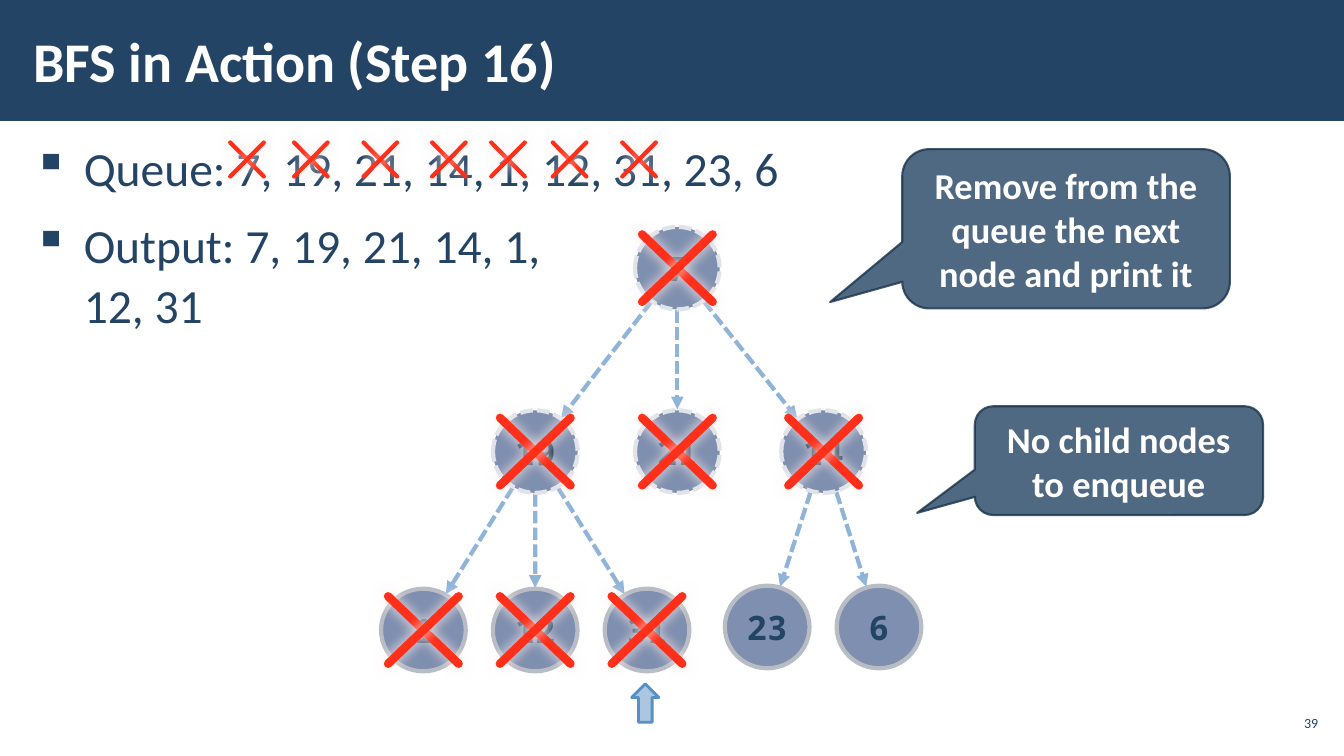
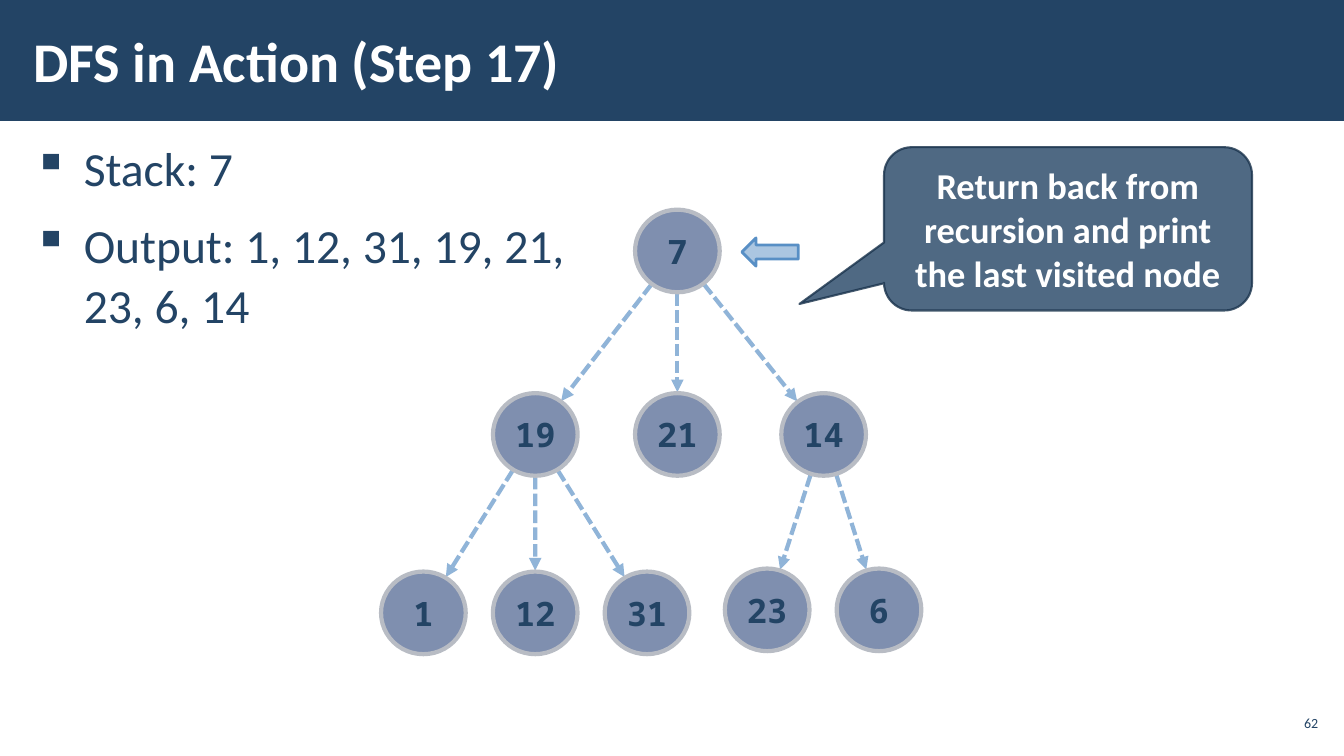
from math import hypot

from lxml.etree import SubElement
from pptx import Presentation
from pptx.dml.color import RGBColor
from pptx.enum.dml import MSO_LINE
from pptx.enum.shapes import MSO_CONNECTOR, MSO_SHAPE
from pptx.enum.text import MSO_ANCHOR, PP_ALIGN
from pptx.oxml.ns import qn
from pptx.util import Inches, Pt

SLIDE_W, SLIDE_H = Inches(13.33), Inches(7.5)

NAVY = RGBColor(0x23, 0x44, 0x65)
DEEP_NAVY = RGBColor(0x1A, 0x33, 0x4C)
NODE_BLUE = RGBColor(0x00, 0x20, 0x60)
NODE_RIM = RGBColor(0xB8, 0xBC, 0xC4)
VISITED_RIM = RGBColor(0xE0, 0xE3, 0xE9)
EDGE_BLUE = RGBColor(0x90, 0xB4, 0xD8)
POINTER_BLUE = RGBColor(0x58, 0x8F, 0xC5)
CROSS_RED = RGBColor(0xFF, 0x2F, 0x19)
WHITE = RGBColor(0xFF, 0xFF, 0xFF)
CROSS_GLOW = "FFEDEB"

TITLE_FONT = {"name": "Calibri", "size": Pt(40), "bold": True}
BODY_FONT = {"name": "Calibri", "size": Pt(34)}
CALLOUT_FONT = {"name": "Calibri", "size": Pt(26), "bold": True}
NODE_FONT = {"name": "Noto Sans Mono", "size": Pt(24), "bold": True}
PAGE_FONT = {"name": "Calibri", "size": Pt(10)}
WIDE_INSETS = {"margin_left": Inches(0.12), "margin_right": Inches(0.12),
               "margin_top": Inches(0.04), "margin_bottom": Inches(0.04)}
TIGHT_INSETS = {**WIDE_INSETS, "margin_left": Inches(0.04), "margin_right": Inches(0.04)}
BULLET_SPACING = {"line_spacing": 1.05, "space_before": Pt(6), "space_after": Pt(6)}

# Places and sizes are percentages of the slide's width and height.
NODE_SIZE = (6.3, 10.93)
NODE_CROSS = (5.25, 8.93)
QUEUE_CROSS = (2.5, 4.5)
QUEUE_CROSS_Y = 21.1
QUEUE_CROSS_XS = (18.38, 23.13, 28.3, 33.4, 37.8, 42.38, 47.55)
LEAF_STEP = 8.32
LEFT_LEAF_X, RIGHT_LEAF_X = 31.5, 57.08

# Node label: centre across the slide, drop below the root.
NODES = {
    "7": (50.4, 0), "19": (39.83, 24.27), "21": (50.4, 24.27), "14": (61.28, 24.27),
    **{label: (LEFT_LEAF_X + i * LEAF_STEP, 47.87) for i, label in enumerate(("1", "12", "31"))},
    **{label: (RIGHT_LEAF_X + i * LEAF_STEP, 47.47) for i, label in enumerate(("23", "6"))},
}
CHILDREN = {"7": ("19", "21", "14"), "19": ("1", "12", "31"), "14": ("23", "6")}


def across(percent):
    return round(SLIDE_W * percent / 100)


def down(percent):
    return round(SLIDE_H * percent / 100)


def place(left, top, width, height):
    return across(left), down(top), across(width), down(height)


def set_formats(target, formats):
    for attribute, value in formats.items():
        setattr(target, attribute, value)


def paint(part, color, opacity=100):
    """Give a fill one solid colour, see-through below 100 percent."""
    part.solid()
    part.fore_color.rgb = color
    if opacity < 100:
        for tone in part._xPr.iter(qn("a:srgbClr")):
            SubElement(tone, qn("a:alpha"), val=str(opacity * 1000))


def write(frame, lines, font, color, align=PP_ALIGN.LEFT):
    for i, line in enumerate(lines):
        paragraph = frame.paragraphs[0] if i == 0 else frame.add_paragraph()
        paragraph.text = line
        paragraph.alignment = align
        for run in paragraph.runs:
            set_formats(run.font, font)
            run.font.color.rgb = color


def add_text(slide, box, lines, font, color, anchor=MSO_ANCHOR.MIDDLE,
             insets=WIDE_INSETS, align=PP_ALIGN.LEFT):
    frame = slide.shapes.add_textbox(*place(*box)).text_frame
    set_formats(frame, {"word_wrap": True, "vertical_anchor": anchor, **insets})
    write(frame, lines, font, color, align)
    return frame


def add_panel(slide, kind, box, fill, opacity=100, rim=None, rim_width=0, rim_opacity=100):
    panel = slide.shapes.add_shape(kind, *place(*box))
    panel.shadow.inherit = False
    paint(panel.fill, fill, opacity)
    if rim is None:
        panel.line.fill.background()
    else:
        paint(panel.line.fill, rim, rim_opacity)
        panel.line.width = Pt(rim_width)
    return panel


def add_line(slide, start, end, color, width):
    """Draw a line between two points in EMU; return it with its effect list."""
    line = slide.shapes.add_connector(MSO_CONNECTOR.STRAIGHT, *map(round, (*start, *end)))
    line.line.color.rgb = color
    line.line.width = Pt(width)
    return line, SubElement(line._element.spPr, qn("a:effectLst"))


def add_edge(slide, parent, child):
    """Draw a dashed arrow from the rim of one node to the rim of another."""
    (x1, y1), (x2, y2) = parent, child
    reach = across(NODE_SIZE[0]) / 2 / hypot(x2 - x1, y2 - y1)
    dx, dy = (x2 - x1) * reach, (y2 - y1) * reach
    edge, _ = add_line(slide, (x1 + dx, y1 + dy), (x2 - dx, y2 - dy), EDGE_BLUE, 3)
    edge.line.dash_style = MSO_LINE.SQUARE_DOT
    SubElement(edge.line._get_or_add_ln(), qn("a:tailEnd"), type="triangle")


def add_cross(slide, center_x, center_y, size, width):
    left, right = (across(center_x + side * size[0] / 2) for side in (-1, 1))
    top, bottom = (down(center_y + side * size[1] / 2) for side in (-1, 1))
    for start, end in (((left, top), (right, bottom)), ((right, top), (left, bottom))):
        stroke, effects = add_line(slide, start, end, CROSS_RED, width)
        stroke.line._get_or_add_ln().set("cap", "rnd")
        glow = SubElement(effects, qn("a:outerShdw"), blurRad=str(Pt(10)), dist="0",
                          dir="5400000", algn="ctr", rotWithShape="0")
        SubElement(glow, qn("a:srgbClr"), val=CROSS_GLOW)


def add_node(slide, label, center_x, center_y, visited):
    width, height = NODE_SIZE
    node = add_panel(slide, MSO_SHAPE.OVAL,
                     (center_x - width / 2, center_y - height / 2, width, height),
                     NODE_BLUE, 50, VISITED_RIM if visited else NODE_RIM, 3)
    if visited:
        node.line.dash_style = MSO_LINE.SQUARE_DOT
    set_formats(node.text_frame, {"word_wrap": False, "vertical_anchor": MSO_ANCHOR.MIDDLE})
    write(node.text_frame, [label], NODE_FONT, DEEP_NAVY if visited else NAVY, PP_ALIGN.CENTER)


def add_tree(slide, root_y, visited=(), crossed=()):
    centers = {label: (x, root_y + drop) for label, (x, drop) in NODES.items()}
    points = {label: (across(x), down(y)) for label, (x, y) in centers.items()}
    for parent, children in CHILDREN.items():
        for child in children:
            add_edge(slide, points[parent], points[child])
    for label, center in centers.items():
        add_node(slide, label, *center, label in visited)
    for label in crossed:
        add_cross(slide, *centers[label], NODE_CROSS, 6)


def add_callout(slide, box, tip, text):
    callout = add_panel(slide, MSO_SHAPE.ROUNDED_RECTANGULAR_CALLOUT, box,
                        NAVY, 80, DEEP_NAVY, 1.5, 80)
    for i, value in enumerate((*tip, 0.17)):
        callout.adjustments[i] = value
    set_formats(callout.text_frame, {"word_wrap": True, "vertical_anchor": MSO_ANCHOR.MIDDLE})
    write(callout.text_frame, [text], CALLOUT_FONT, WHITE, PP_ALIGN.CENTER)


def add_pointer(slide, kind, box):
    add_panel(slide, kind, box, POINTER_BLUE, 50, POINTER_BLUE, 2)


def add_bullets(slide, lines):
    frame = add_text(slide, (1.58, 17.47, 96.9, 75.87), lines, BODY_FONT, NAVY, MSO_ANCHOR.TOP)
    for paragraph in frame.paragraphs:
        set_formats(paragraph, BULLET_SPACING)
        properties = paragraph._p.get_or_add_pPr()
        properties.set("marL", str(Inches(0.5)))
        properties.set("indent", str(-Inches(0.5)))
        SubElement(properties, qn("a:buChar"), char="▪")


def start_slide(deck, title, page, bullets):
    """Add a slide with its title band, page number and bullets."""
    slide = deck.slides.add_slide(deck.slide_layouts[6])
    add_panel(slide, MSO_SHAPE.RECTANGLE, (0, 0, 100, 16), NAVY)
    add_text(slide, (1.58, 1.47, 78, 12.93), [title], TITLE_FONT, WHITE)
    add_text(slide, (94.88, 93.33, 3.5, 4.5), [page], PAGE_FONT, NAVY,
             insets=TIGHT_INSETS, align=PP_ALIGN.RIGHT)
    add_bullets(slide, bullets)
    return slide


def add_bfs_slide(deck):
    slide = start_slide(deck, "BFS in Action (Step 16)", "39",
                        ["Queue: 7, 19, 21, 14, 1, 12, 31, 23, 6",
                         "Output: 7, 19, 21, 14, 1,\v12, 31"])
    add_tree(slide, 35.47, visited=("7", "19", "21", "14"),
             crossed=("7", "19", "21", "14", "1", "12", "31"))
    for x in QUEUE_CROSS_XS:
        add_cross(slide, x, QUEUE_CROSS_Y, QUEUE_CROSS, 3)
    add_pointer(slide, MSO_SHAPE.UP_ARROW, (47, 90.47, 2.03, 5.07))
    add_callout(slide, (72.53, 53.73, 21.45, 14.4), (-0.7, 0.48), "No child nodes to enqueue")
    add_callout(slide, (67.13, 19.73, 24.38, 21.07), (-0.72, 0.46),
                "Remove from the queue the next node and print it")


def add_dfs_slide(deck):
    slide = start_slide(deck, "DFS in Action (Step 17)", "62",
                        ["Stack: 7", "Output: 1, 12, 31, 19, 21,\v23, 6, 14"])
    add_tree(slide, 33.2)
    add_pointer(slide, MSO_SHAPE.LEFT_ARROW, (55.2, 31.47, 4.2, 3.73))
    add_callout(slide, (65.78, 19.47, 27.38, 21.6), (-0.73, 0.46),
                "Return back from recursion and print the last visited node")


def main():
    deck = Presentation()
    set_formats(deck, {"slide_width": SLIDE_W, "slide_height": SLIDE_H})
    add_bfs_slide(deck)
    add_dfs_slide(deck)
    deck.save("out.pptx")


if __name__ == "__main__":
    main()
